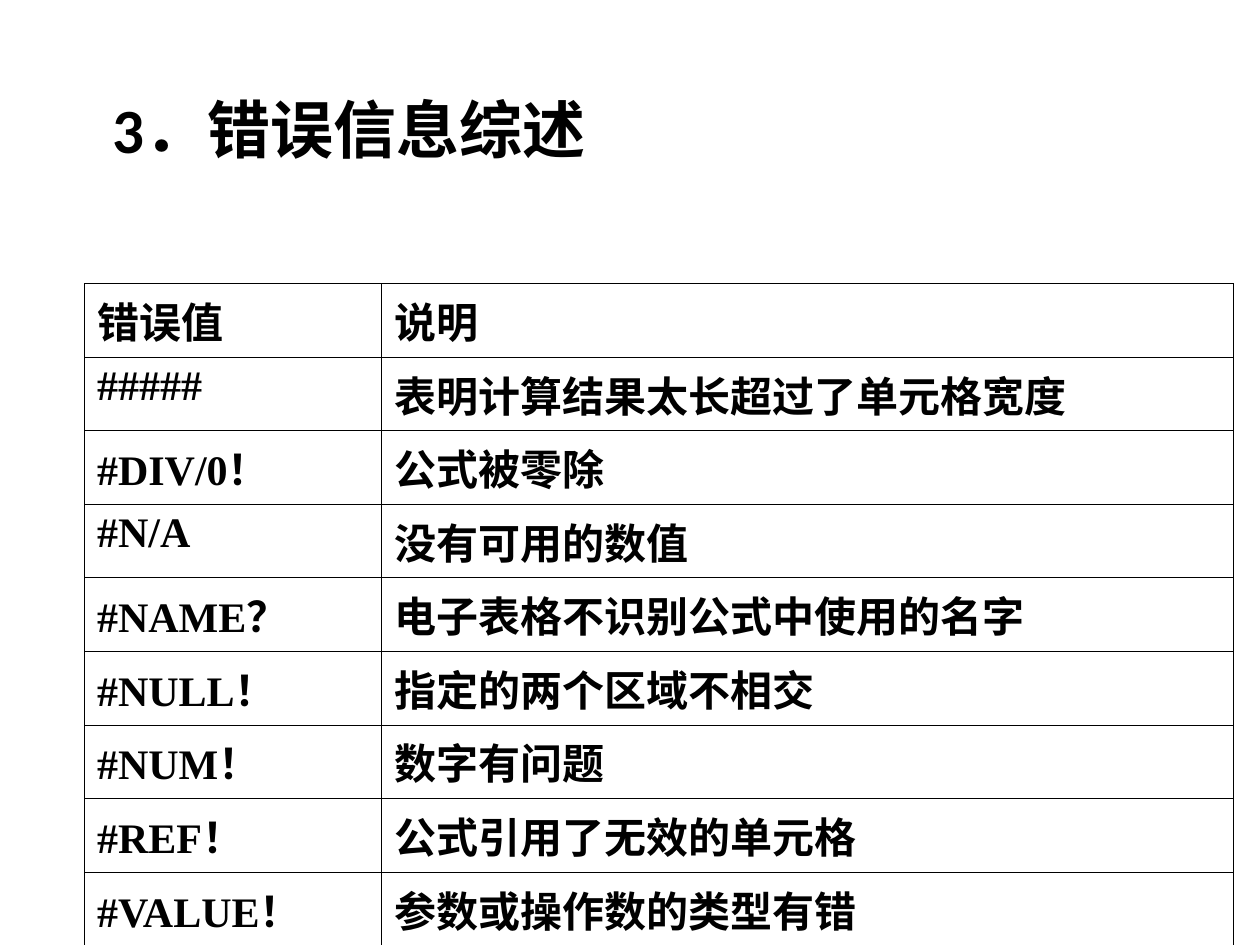
from lxml.etree import SubElement
from pptx import Presentation
from pptx.dml.color import RGBColor
from pptx.enum.text import MSO_ANCHOR, PP_ALIGN
from pptx.oxml.ns import qn
from pptx.util import Inches, Pt

BLACK = "000000"
ROWS = [
    ("错误值", "说明"),
    ("#####", "表明计算结果太长超过了单元格宽度"),
    ("#DIV/0！", "公式被零除"),
    ("#N/A", "没有可用的数值"),
    ("#NAME？", "电子表格不识别公式中使用的名字"),
    ("#NULL！", "指定的两个区域不相交"),
    ("#NUM！", "数字有问题"),
    ("#REF！", "公式引用了无效的单元格"),
    ("#VALUE！", "参数或操作数的类型有错"),
]
WIDTHS = [2.36, 6.76]
HEIGHTS = [0.5, 0.53] + [0.52] * 6 + [0.56]
TITLE = {"name": "Calibri", "size": Pt(36), "bold": True}
BODY = {"name": "Times New Roman", "size": Pt(24), "bold": True}


def color(code):
    return RGBColor.from_string(code)


def write(frame, text, style):
    frame.text = text
    line = frame.paragraphs[0]
    line.alignment = PP_ALIGN.LEFT
    font = line.runs[0].font
    for key, value in style.items():
        setattr(font, key, value)
    font.color.rgb = color(BLACK)


def border(cell):
    props = cell._tc.get_or_add_tcPr()
    for side in ("lnL", "lnR", "lnT", "lnB"):
        edge = SubElement(props, qn(f"a:{side}"), w=str(Pt(0.45)))
        fill = SubElement(edge, qn("a:solidFill"))
        SubElement(fill, qn("a:srgbClr"), val=BLACK)


def add_title(slide, box):
    title = slide.shapes.title
    for key, value in zip(("left", "top", "width", "height"), box):
        setattr(title, key, Inches(value))
    title.text_frame.vertical_anchor = MSO_ANCHOR.MIDDLE
    write(title.text_frame, "3．错误信息综述", TITLE)


def add_errors(slide, box):
    size = map(Inches, box)
    table = slide.shapes.add_table(len(ROWS), len(WIDTHS), *size).table
    table.first_row = table.horz_banding = False
    for column, width in zip(table.columns, WIDTHS):
        column.width = Inches(width)
    for row, height, texts in zip(table.rows, HEIGHTS, ROWS):
        row.height = Inches(height)
        for cell, text in zip(row.cells, texts):
            border(cell)
            cell.fill.background()
            write(cell.text_frame, text, BODY)


def main():
    deck = Presentation()
    deck.slide_width, deck.slide_height = Inches(10), Inches(7.5)
    slide = deck.slides.add_slide(deck.slide_layouts.get_by_name("Title Only"))
    add_title(slide, (0.79, 0.56, 8.71, 0.91))
    add_errors(slide, (0.67, 2.25, sum(WIDTHS), sum(HEIGHTS)))
    deck.save("out.pptx")


if __name__ == "__main__":
    main()
